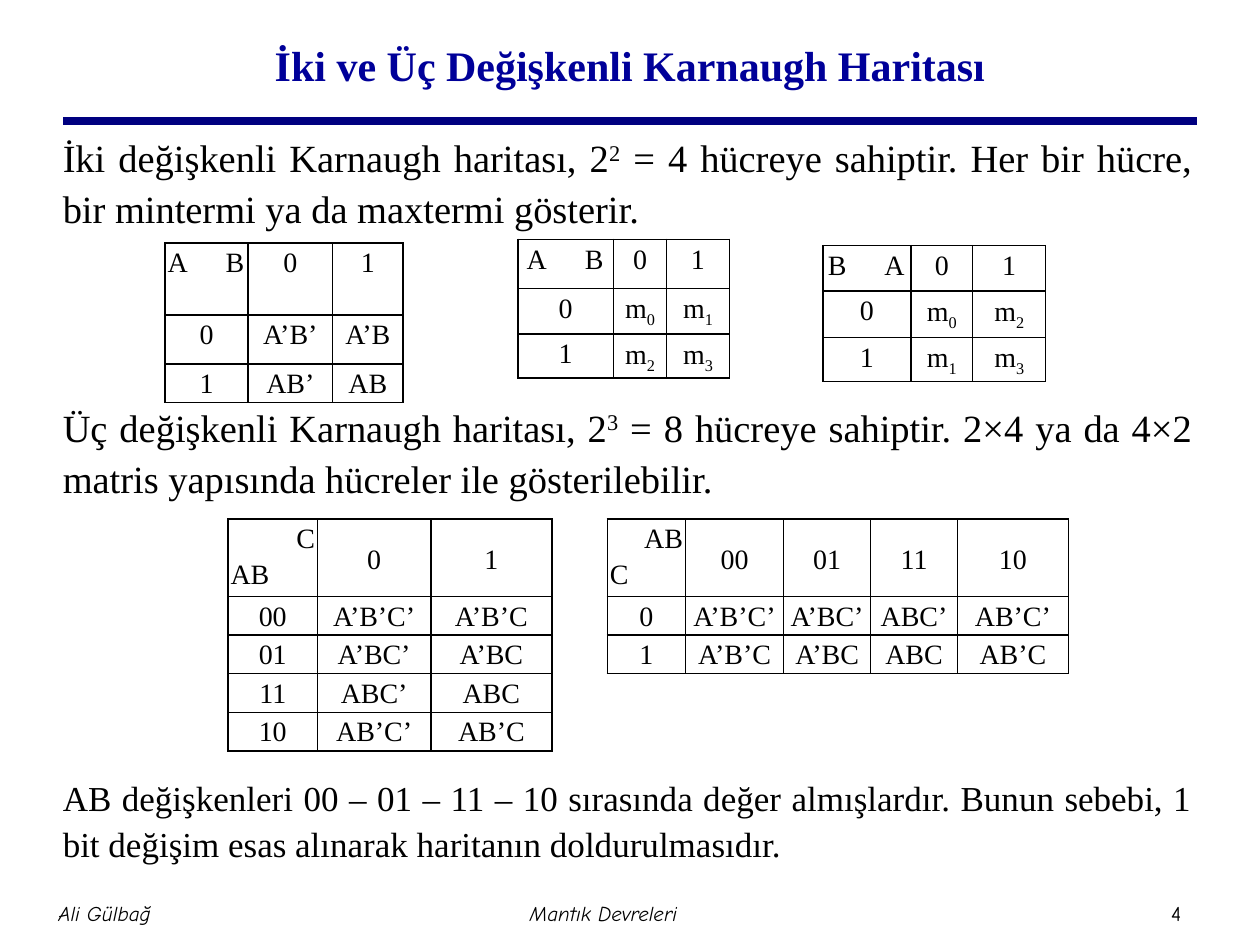
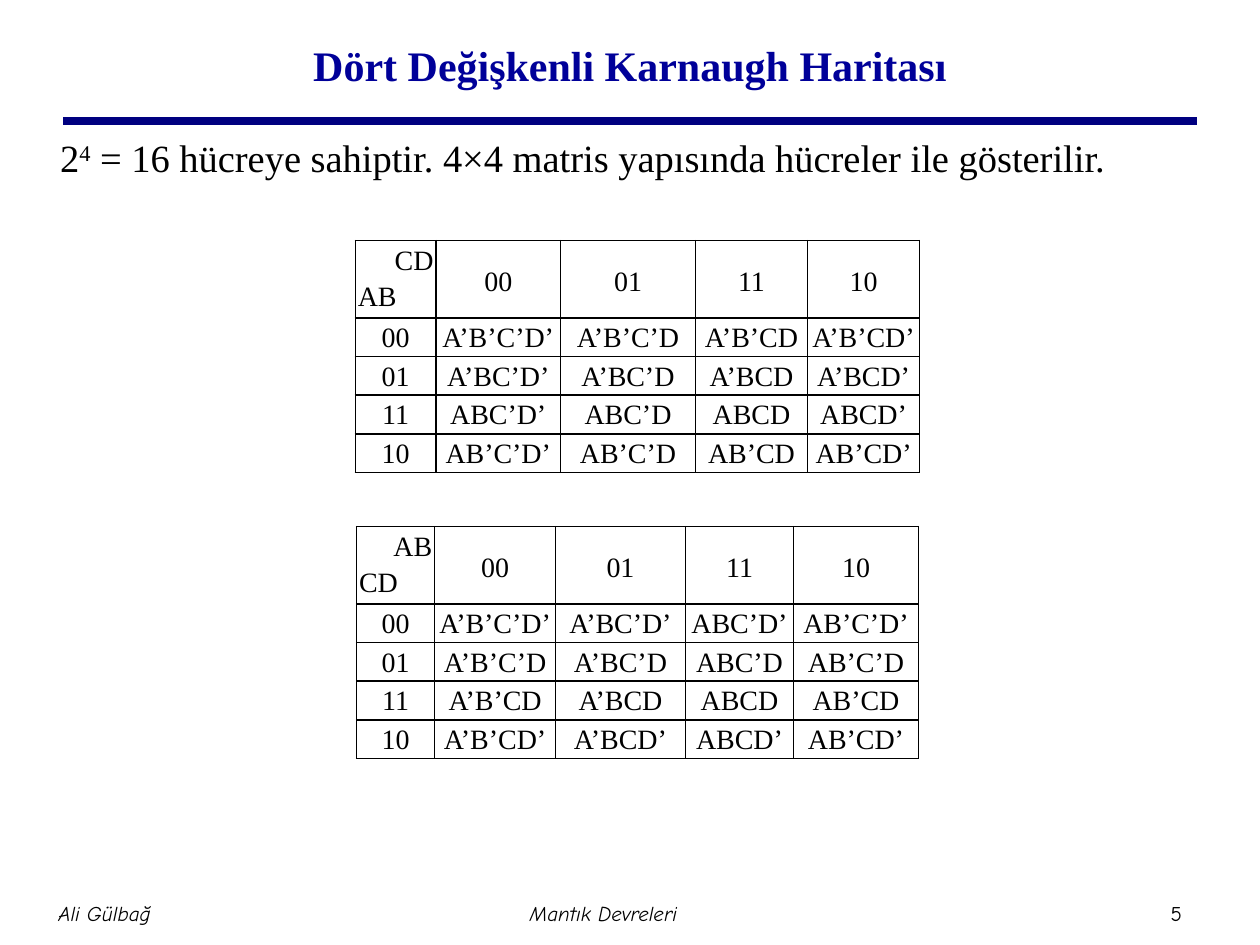
from lxml import etree
from pptx import Presentation
from pptx.dml.color import RGBColor
from pptx.enum import shapes, text
from pptx.oxml import ns
from pptx.util import Inches, Pt

COLORS = {"title": "000099", "rule": "000080", "ink": "000000"}
SERIF, COMIC = "Times New Roman", "Comic Neue"
LEFT, CENTER, RIGHT, JUSTIFY = (text.PP_ALIGN.LEFT, text.PP_ALIGN.CENTER,
                                text.PP_ALIGN.RIGHT, text.PP_ALIGN.JUSTIFY)
MIDDLE = text.MSO_ANCHOR.MIDDLE
GRAY = {1: ["0", "1"], 2: ["00", "01", "11", "10"]}
ROW = 0.28


def write(p, content, size, align=CENTER, font=SERIF, color="ink",
          bold=False, italic=False, script=30000):
    """Fill a paragraph; pieces between bars are raised or lowered."""
    p.alignment = align
    for i, piece in enumerate(content.split("|")):
        if not piece:
            continue
        r = p.add_run()
        r.text = piece
        r.font.name, r.font.size = font, Pt(size)
        r.font.bold, r.font.italic = bold, italic
        r.font.color.rgb = RGBColor.from_string(COLORS[color])
        if i % 2:
            r.font._element.set("baseline", str(script))


def add_box(s, left, top, width, height, anchor=MIDDLE, inset=0.05):
    tf = s.shapes.add_textbox(Inches(left), Inches(top), Inches(width), Inches(height)).text_frame
    tf.word_wrap = True
    tf.vertical_anchor = anchor
    tf.margin_left = tf.margin_right = Inches(inset)
    return tf


# Body paragraphs: text, size, space before
pages = [
    {"number": "4", "title": "İki ve Üç Değişkenli Karnaugh Haritası", "left": 0.4,
     "body": [
         ("İki değişkenli Karnaugh haritası, 2|2| = 4 hücreye sahiptir. Her bir hücre, "
          "bir mintermi ya da maxtermi gösterir.", 22, 0),
         ("Üç değişkenli Karnaugh haritası, 2|3| = 8 hücreye sahiptir. 2×4 ya da 4×2 "
          "matris yapısında hücreler ile gösterilebilir.", 22, 96),
         ("AB değişkenleri 00 – 01 – 11 – 10 sırasında değer almışlardır. Bunun sebebi, "
          "1 bit değişim esas alınarak haritanın doldurulmasıdır.", 20, 155)],
     # Maps: left, top, row variables, column variables, widths, heights, corner inset, cell kind
     "maps": [
         (1.31, 1.93, "A", "B", [0.66, 0.67, 0.56], [0.57, 0.39, ROW], 0.02, "term"),
         (4.11, 1.9, "A", "B", [0.76, 0.42, 0.5], [0.39, 0.36, 0.34], 0.07, "index"),
         (6.53, 1.95, "B", "A", [0.7, 0.49, 0.58], [0.36, 0.37, 0.33], 0.04, "index"),
         (1.81, 4.12, "AB", "C", [0.71, 0.9, 0.96], [0.57] + [ROW] * 4, 0.02, "term"),
         (4.82, 4.12, "C", "AB", [0.62, 0.78, 0.69, 0.69, 0.88], [0.57] + [ROW] * 2,
          0.02, "term")]},
    {"number": "5", "title": "Dört Değişkenli Karnaugh Haritası", "left": 0.38,
     "body": [("2|4| = 16 hücreye sahiptir. 4×4 matris yapısında hücreler ile gösterilir.", 22, 0)],
     "maps": [
         (2.82, 1.91, "AB", "CD", [0.64, 0.99, 1.07, 0.89, 0.89], [0.57] + [ROW] * 4,
          0.02, "term"),
         (2.83, 4.18, "CD", "AB", [0.62, 0.96, 1.03, 0.86, 0.99], [0.57] + [ROW] * 4,
          0.02, "term")]},
]

prs = Presentation()
prs.slide_width, prs.slide_height = Inches(10), Inches(7.5)

for page in pages:
    s = prs.slides.add_slide(prs.slide_layouts[6])

    # Rule under the title
    rule = s.shapes.add_connector(shapes.MSO_CONNECTOR.STRAIGHT, Inches(0.5), Inches(0.96),
                                  Inches(9.5), Inches(0.96))
    rule.line.color.rgb = RGBColor.from_string(COLORS["rule"])
    rule.line.width = Pt(4.5)
    etree.SubElement(rule._element.spPr, ns.qn("a:effectLst"))

    # Title and footer
    write(add_box(s, 0.75, 0.08, 8.5, 0.86).paragraphs[0], page["title"], 24,
          color="title", bold=True)
    for left, width, label, italic in [(0.03, 1.6, "Ali Gülbağ", True),
                                       (3, 3.58, "Mantık Devreleri", True),
                                       (9.1, 0.47, page["number"], False)]:
        tf = add_box(s, left, 7, width, 0.5)
        write(tf.paragraphs[0], label, 12, font=COMIC, italic=italic)

    # Body text
    tf = add_box(s, page["left"], 0.98, 9.16, 6, text.MSO_ANCHOR.TOP, 0.1)
    for i, (content, size, before) in enumerate(page["body"]):
        p = tf.add_paragraph() if i else tf.paragraphs[0]
        p.line_spacing = 1.1
        if before:
            p.space_before = Pt(before)
        write(p, content, size, JUSTIFY)

    # Karnaugh maps
    for left, top, row_vars, col_vars, widths, heights, inset, kind in page["maps"]:
        row_bits, col_bits = GRAY[len(row_vars)], GRAY[len(col_vars)]
        stacked = len(row_vars + col_vars) > 2
        table = s.shapes.add_table(len(heights), len(widths), Inches(left), Inches(top),
                                   Inches(sum(widths)), Inches(sum(heights))).table
        table.first_row = table.horz_banding = False
        for column, width in zip(table.columns, widths):
            column.width = Inches(width)
        for row, height in zip(table.rows, heights):
            row.height = Inches(height)

        for y in range(len(heights)):
            for x in range(len(widths)):
                cell = table.cell(y, x)
                corner = x == y == 0
                cell.margin_left = Inches(inset if corner else 0.02)
                cell.margin_right = Inches(0.02)
                cell.margin_top = cell.margin_bottom = 0
                cell.fill.background()
                for i, side in enumerate(["lnL", "lnR", "lnT", "lnB"]):
                    ln = etree.Element(ns.qn("a:" + side), w=str(Pt(1)))
                    fill = etree.SubElement(ln, ns.qn("a:solidFill"))
                    etree.SubElement(fill, ns.qn("a:srgbClr"), val=COLORS["ink"])
                    cell._tc.tcPr.insert(i, ln)

                # Cell wording from the row and column bits
                if corner and stacked:
                    lines = [(col_vars, RIGHT), (row_vars, LEFT)]
                elif corner:
                    lines = [(row_vars + "\t" + col_vars, LEFT)]
                elif y == 0:
                    lines = [(col_bits[x - 1], CENTER)]
                elif x == 0:
                    lines = [(row_bits[y - 1], CENTER)]
                else:
                    bits = sorted(zip(row_vars + col_vars, row_bits[y - 1] + col_bits[x - 1]))
                    if kind == "index":
                        term = f"m|{int(''.join(b for _, b in bits), 2)}|"
                    else:
                        term = "".join(v if b == "1" else v + "’" for v, b in bits)
                    lines = [(term, CENTER)]
                if y == 0 and stacked and not corner:
                    cell.vertical_anchor = MIDDLE

                for i, (content, align) in enumerate(lines):
                    tf = cell.text_frame
                    p = tf.add_paragraph() if i else tf.paragraphs[0]
                    p.line_spacing = 1.15
                    if "\t" in content:
                        tabs = etree.SubElement(p._p.get_or_add_pPr(), ns.qn("a:tabLst"))
                        etree.SubElement(tabs, ns.qn("a:tab"), pos=str(Inches(0.61)), algn="r")
                    write(p, content, 16, align, script=-25000)

prs.save("out.pptx")
